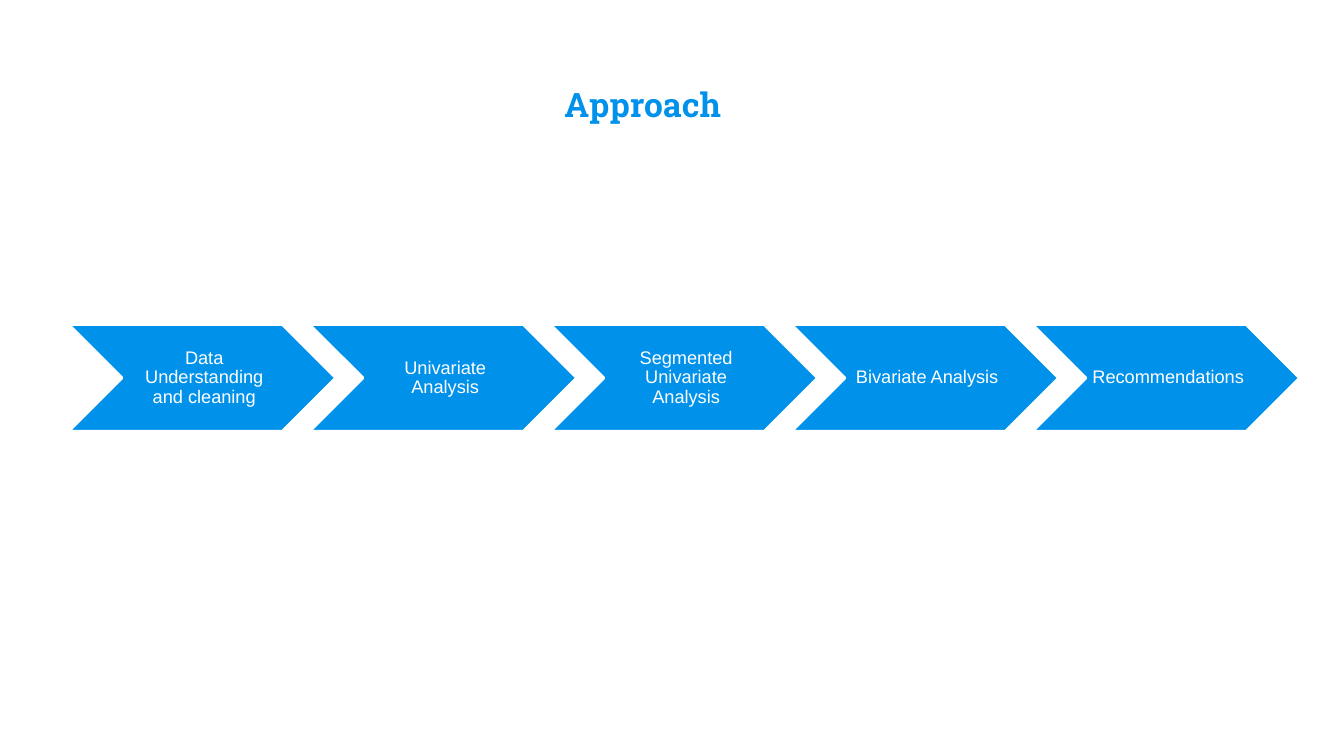
from pptx import Presentation
from pptx.dml.color import RGBColor
from pptx.enum.shapes import MSO_SHAPE as Shape
from pptx.enum.text import MSO_ANCHOR as Anchor, PP_ALIGN as Align
from pptx.util import Inches, Pt

COLORS = {"blue": "0091EA", "white": "FFFFFF"}
STEPS = [
    "Data Understanding and cleaning",
    "Univariate Analysis",
    "Segmented Univariate Analysis",
    "Bivariate Analysis",
    "Recommendations",
]
STEP_LEFT, STEP_TOP, STEP_PITCH = 0.68, 3.22, 2.39
STEP_WIDTH, STEP_HEIGHT = 2.65, 1.06


def color(name):
    """Return the named colour of the slide."""
    return RGBColor.from_string(COLORS[name])


def write_text(shape, text, *, font, size, fill, bold=False, anchor=Anchor.MIDDLE,
               insets=(0.1, 0.1, 0.1, 0.1), line_spacing=1.0):
    """Write one centred paragraph into a shape."""
    frame = shape.text_frame
    frame.word_wrap = True
    frame.vertical_anchor = anchor
    (frame.margin_left, frame.margin_top,
     frame.margin_right, frame.margin_bottom) = map(Inches, insets)
    paragraph = frame.paragraphs[0]
    paragraph.alignment = Align.CENTER
    paragraph.line_spacing = line_spacing
    run = paragraph.add_run()
    run.text = text
    run.font.name = font
    run.font.size = Pt(size)
    run.font.bold = bold
    run.font.color.rgb = color(fill)


def add_title(slide, text):
    """Place and fill the title placeholder."""
    title = slide.shapes.title
    title.left, title.top = Inches(1.28), Inches(0.72)
    title.width, title.height = Inches(10.19), Inches(0.61)
    write_text(title, text, font="Roboto Slab", size=24, fill="blue",
               bold=True, anchor=Anchor.BOTTOM)


def add_step(slide, left, text):
    """Add one labelled chevron of the process."""
    chevron = slide.shapes.add_shape(
        Shape.CHEVRON, Inches(left), Inches(STEP_TOP),
        Inches(STEP_WIDTH), Inches(STEP_HEIGHT))
    chevron.shadow.inherit = False
    chevron.fill.solid()
    chevron.fill.fore_color.rgb = color("blue")
    chevron.line.color.rgb = color("white")
    chevron.line.width = Pt(2)
    write_text(chevron, text, font="Arial", size=13, fill="white",
               insets=(0.06, 0.02, 0.02, 0.02), line_spacing=0.9)


def main():
    """Build the approach slide."""
    presentation = Presentation()
    presentation.slide_width = Inches(13.33)
    presentation.slide_height = Inches(7.5)
    slide = presentation.slides.add_slide(presentation.slide_layouts[5])
    add_title(slide, "Approach")
    for index, step in enumerate(STEPS):
        add_step(slide, STEP_LEFT + index * STEP_PITCH, step)
    presentation.save("out.pptx")


main()
